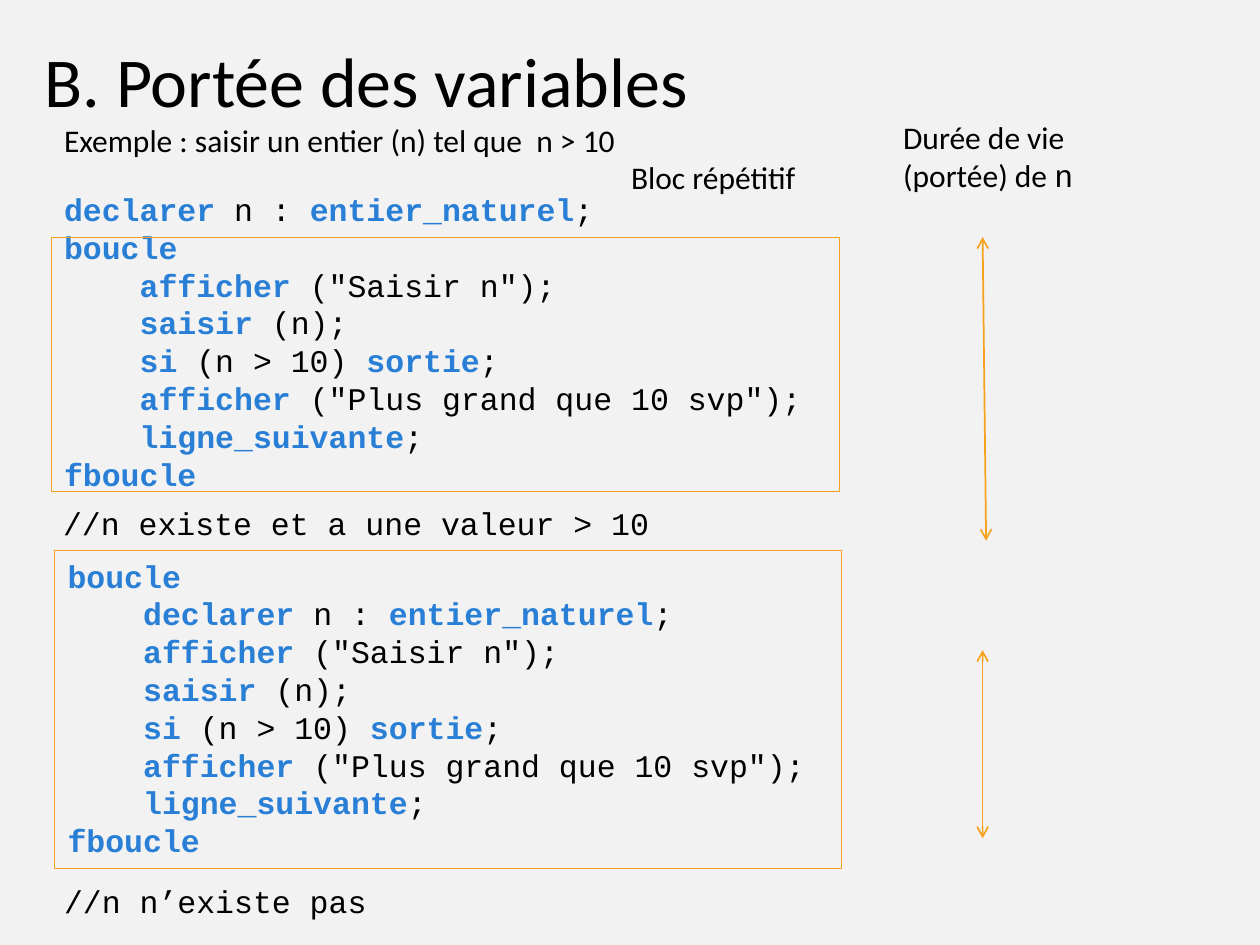
from lxml import etree
from pptx import Presentation
from pptx.dml.color import RGBColor
from pptx.enum.shapes import MSO_CONNECTOR, MSO_SHAPE
from pptx.enum.text import MSO_ANCHOR, MSO_AUTO_SIZE
from pptx.oxml.ns import qn
from pptx.util import Pt

LINE = MSO_CONNECTOR.STRAIGHT
RECT = MSO_SHAPE.RECTANGLE
TOP = MSO_ANCHOR.TOP
GROW = MSO_AUTO_SIZE.SHAPE_TO_FIT_TEXT
FIXED = MSO_AUTO_SIZE.NONE

COLORS = {"back": "F2F2F2", "text": "000000", "key": "297FD5", "edge": "F6A21D"}
SANS = "Calibri"
MONO = "Courier New"
INDENT = 4 * 10.8


def color(name):
    return RGBColor.from_string(COLORS[name])


class Page:
    size = 18
    frame = {"word_wrap": True, "vertical_anchor": TOP}

    def __init__(self, deck):
        self.slide = deck.slides.add_slide(deck.slide_layouts[6])
        fill = self.slide.background.fill
        fill.solid()
        fill.fore_color.rgb = color("back")

    def assign(self, target, values):
        for name, value in values.items():
            setattr(target, name, value)

    def run(self, para, text, font, size, key=False):
        run = para.add_run()
        run.text = text
        self.assign(run.font, {"name": font, "size": Pt(size), "bold": key})
        run.font.color.rgb = color("key" if key else "text")

    def box(self, place, fit=GROW):
        shape = self.slide.shapes.add_textbox(*map(Pt, place))
        self.assign(shape.text_frame, {**self.frame, "auto_size": fit})
        return shape.text_frame

    def text(self, place, *parts, size=size, fit=GROW):
        para = self.box(place, fit).paragraphs[0]
        for words, font in parts:
            self.run(para, words, font, size)

    def code(self, place, lines):
        frame = self.box(place)
        for i, (depth, line) in enumerate(lines):
            para = frame.add_paragraph() if i else frame.paragraphs[0]
            if depth:
                para._p.get_or_add_pPr().set("marL", str(Pt(depth * INDENT)))
            for j, part in enumerate(line.split("*")):
                if part:
                    self.run(para, part, MONO, self.size, j % 2 == 1)

    def block(self, place):
        shape = self.slide.shapes.add_shape(RECT, *map(Pt, place))
        shape.shadow.inherit = False
        shape.fill.background()
        shape.line.color.rgb = color("edge")
        shape.line.width = Pt(0.5)

    def span(self, *ends):
        line = self.slide.shapes.add_connector(LINE, *map(Pt, ends))
        line.line.color.rgb = color("edge")
        line.line.width = Pt(1)
        edge = line.line._get_or_add_ln()
        for tag in ("a:headEnd", "a:tailEnd"):
            etree.SubElement(edge, qn(tag)).set("type", "arrow")
        etree.SubElement(line._element.spPr, qn("a:effectLst"))


deck = Presentation()
deck.slide_width, deck.slide_height = Pt(720), Pt(540)
page = Page(deck)

START = (0, "*boucle*")
DECLARE = "*declarer *n : *entier_naturel*;"
BODY = [
    (1, '*afficher *("Saisir n");'),
    (1, "*saisir *(n);"),
    (1, "*si *(n > 10) *sortie*;"),
    (1, '*afficher *("Plus grand que 10 svp");'),
    (1, "*ligne_suivante*;"),
    (0, "*fboucle*"),
]

page.text((29.5, 65.5, 578, 29), ("Exemple : saisir un entier (n) tel que  n > 10", SANS))
page.code((29.5, 105, 459, 181.5), [(0, DECLARE), START, *BODY])
page.code((31.5, 314.5, 459, 181.5), [START, (1, DECLARE), *BODY])
page.block((29.5, 135.5, 450, 145.5))
page.text((509, 64, 126, 51), ("Durée de vie (portée) de ", SANS), ("n", MONO))
page.block((31, 314.5, 450, 181.5))
page.text((353.5, 86.5, 126, 29), ("Bloc répétitif", SANS))
page.span(561.5, 135.5, 563.5, 309)
page.span(561.5, 371.5, 561.5, 479)
page.text((18.5, 18, 713, 72), ("B. Portée des variables", SANS), size=40, fit=FIXED)
page.text((29, 284.5, 479.5, 29), ("//n existe et a une\tvaleur > 10", MONO))
page.text((29.5, 500.5, 363.5, 29), ("//n n’existe pas", MONO))

deck.save("out.pptx")
